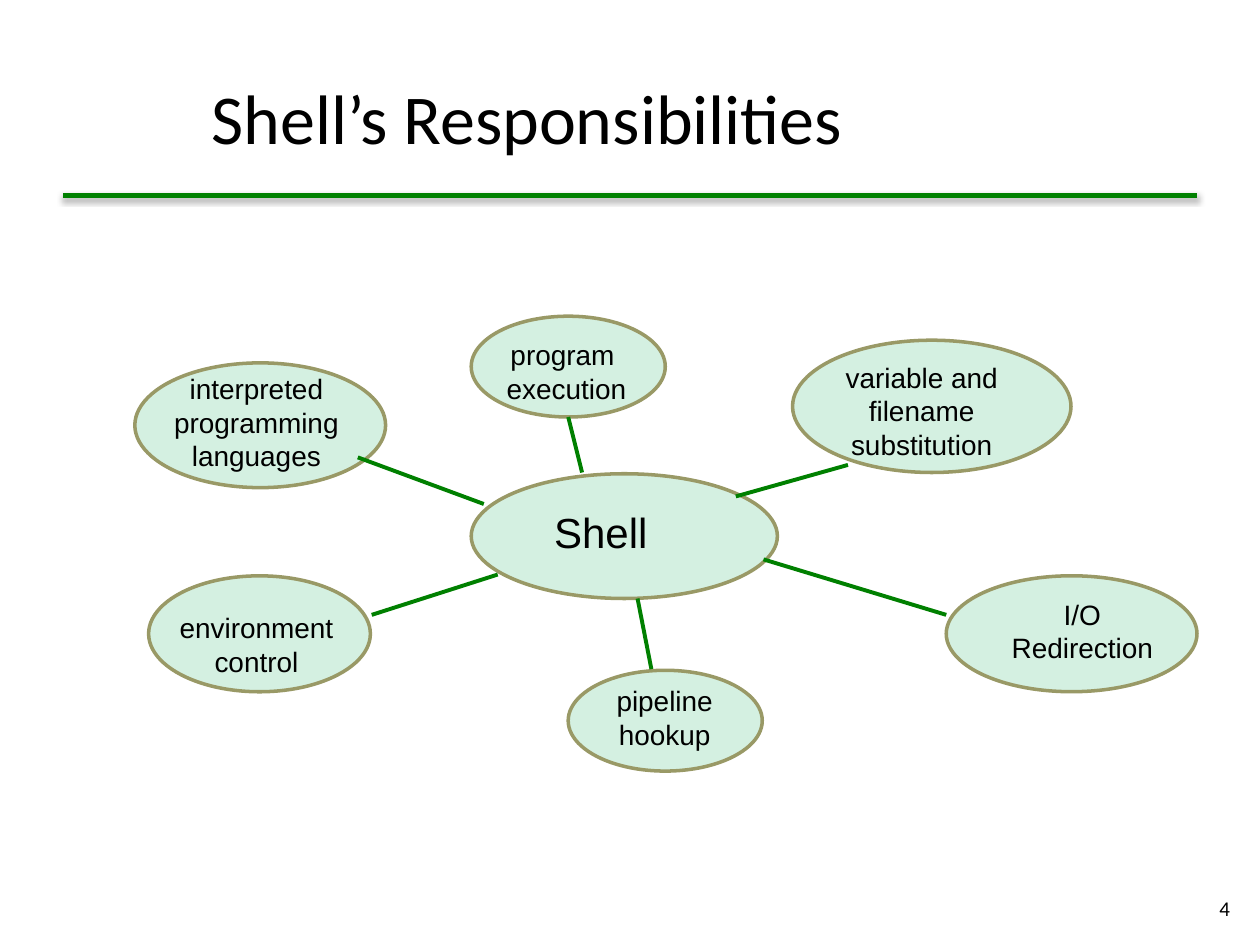
from lxml import etree
from pptx import Presentation
from pptx.dml.color import RGBColor
from pptx.enum.shapes import MSO_CONNECTOR, MSO_SHAPE
from pptx.enum.text import MSO_ANCHOR, PP_ALIGN
from pptx.oxml.ns import qn
from pptx.util import Inches, Pt

STRAIGHT = MSO_CONNECTOR.STRAIGHT
OVAL = MSO_SHAPE.OVAL
TOP, MIDDLE = MSO_ANCHOR.TOP, MSO_ANCHOR.MIDDLE
LEFT, CENTER, RIGHT = PP_ALIGN.LEFT, PP_ALIGN.CENTER, PP_ALIGN.RIGHT

GREEN, MINT, OLIVE, BLACK = "008000", "D4F0E1", "999966", "000000"

# Each responsibility: ellipse box, label box, label lines, spoke ends
RESPONSIBILITIES = [
    ((1.07, 2.88, 1.99, 0.99), (1.28, 2.9, 1.51, 0.9),
     ["interpreted", "programming", "languages"], (2.84, 3.63, 3.84, 4)),
    ((3.74, 2.51, 1.54, 0.8), (3.9, 2.63, 1.19, 0.64),
     ["program ", "execution"], (4.51, 3.31, 4.62, 3.75)),
    ((6.29, 2.7, 2.21, 1.05), (6.61, 2.81, 1.41, 0.9),
     ["variable and", "filename", "substitution"], (6.73, 3.69, 5.84, 3.94)),
    ((7.51, 4.57, 1.99, 0.92), (7.93, 4.69, 1.32, 0.64),
     ["I/O", "Redirection"], (7.51, 4.88, 6.06, 4.44)),
    ((1.18, 4.57, 1.76, 0.92), (1.04, 4.8, 1.99, 0.64),
     ["environment", "control"], (2.95, 4.88, 3.95, 4.56)),
    ((4.51, 5.32, 1.54, 0.8), (4.79, 5.38, 0.97, 0.64),
     ["pipeline", "hookup"], (5.17, 5.31, 5.06, 4.75)),
]


def color(value):
    return RGBColor.from_string(value)


def inches(lengths):
    return [Inches(length) for length in lengths]


def add_text(slide, box, lines, size, font, align=LEFT, anchor=TOP, wrap=True):
    frame = slide.shapes.add_textbox(*inches(box)).text_frame
    frame.word_wrap = wrap
    frame.vertical_anchor = anchor
    frame.text = "\n".join(lines)
    for paragraph in frame.paragraphs:
        paragraph.alignment = align
        for run in paragraph.runs:
            run.font.size = Pt(size)
            run.font.name = font
            run.font.color.rgb = color(BLACK)


def add_line(slide, ends, width):
    """Draw a green line and return its empty effect list."""
    line = slide.shapes.add_connector(STRAIGHT, *inches(ends))
    line.line.color.rgb = color(GREEN)
    line.line.width = Pt(width)
    return etree.SubElement(line._element.spPr, qn("a:effectLst"))


def add_ellipse(slide, box):
    ellipse = slide.shapes.add_shape(OVAL, *inches(box))
    ellipse.shadow.inherit = False
    ellipse.fill.solid()
    ellipse.fill.fore_color.rgb = color(MINT)
    ellipse.line.color.rgb = color(OLIVE)
    ellipse.line.width = Pt(2)


def add_header(slide, title_box, rule_ends):
    add_text(slide, title_box, ["Shell’s Responsibilities"], 40, "Calibri",
             anchor=MIDDLE)
    # Rule with a soft shadow below it
    effects = add_line(slide, rule_ends, 3)
    shadow = etree.SubElement(
        effects, qn("a:outerShdw"), blurRad=str(Pt(3.1)), dist=str(Pt(1.6)),
        dir="5400000", rotWithShape="0")
    shade = etree.SubElement(shadow, qn("a:srgbClr"), val=BLACK)
    etree.SubElement(shade, qn("a:alpha"), val="38000")


def add_shell_map(slide, hub_box, hub_label_box):
    # Ellipses lie behind the spokes, labels on top
    add_ellipse(slide, hub_box)
    for ellipse_box, _, _, _ in RESPONSIBILITIES:
        add_ellipse(slide, ellipse_box)
    for _, _, _, spoke_ends in RESPONSIBILITIES:
        add_line(slide, spoke_ends, 2.25)
    add_text(slide, hub_label_box, ["Shell"], 24, "Arial", wrap=False)
    for _, label_box, lines, _ in RESPONSIBILITIES:
        add_text(slide, label_box, lines, 16, "Arial", CENTER, wrap=False)


def main():
    prs = Presentation()
    prs.slide_width, prs.slide_height = Inches(10), Inches(7.5)
    slide = prs.slides.add_slide(prs.slide_layouts[6])

    add_header(slide, (1.58, 0.3, 8.27, 1.25), (0.5, 1.55, 9.5, 1.55))
    add_shell_map(slide, (3.74, 3.76, 2.43, 0.99), (4.3, 3.97, 0.94, 0.5))
    # Page number
    add_text(slide, (9.46, 7.01, 0.4, 0.4), ["4"], 12, "Calibri", RIGHT, MIDDLE)

    prs.save("out.pptx")


if __name__ == "__main__":
    main()
